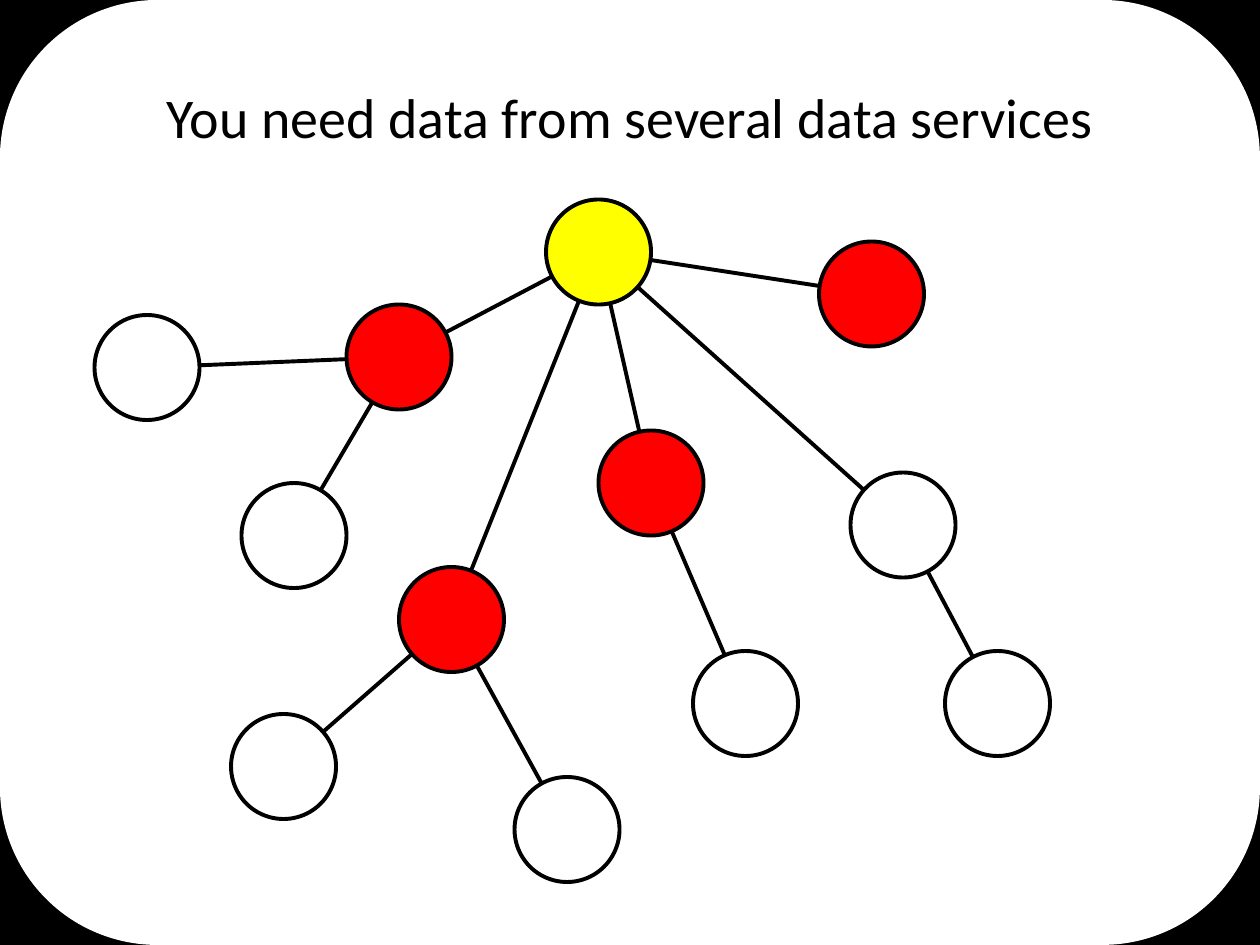
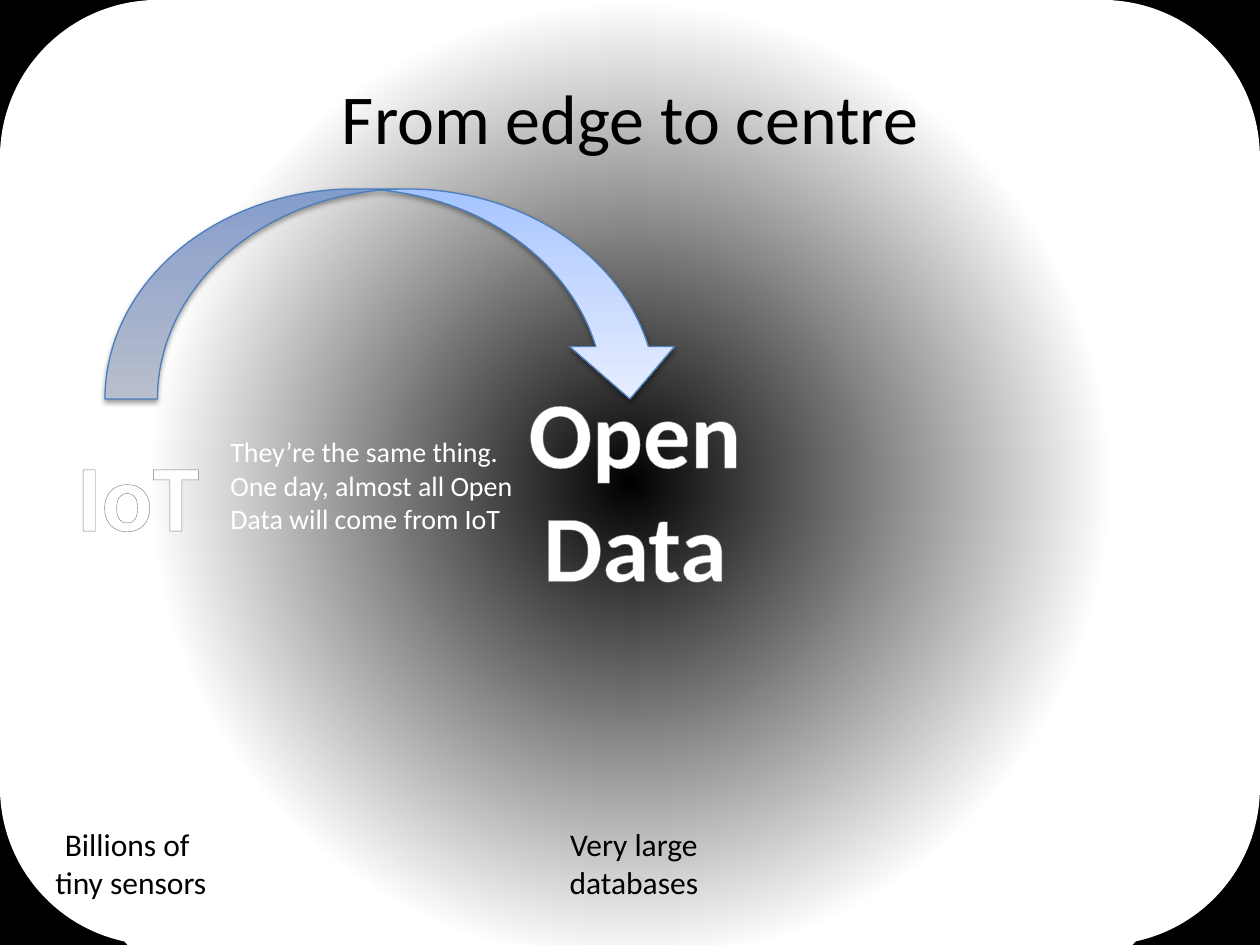
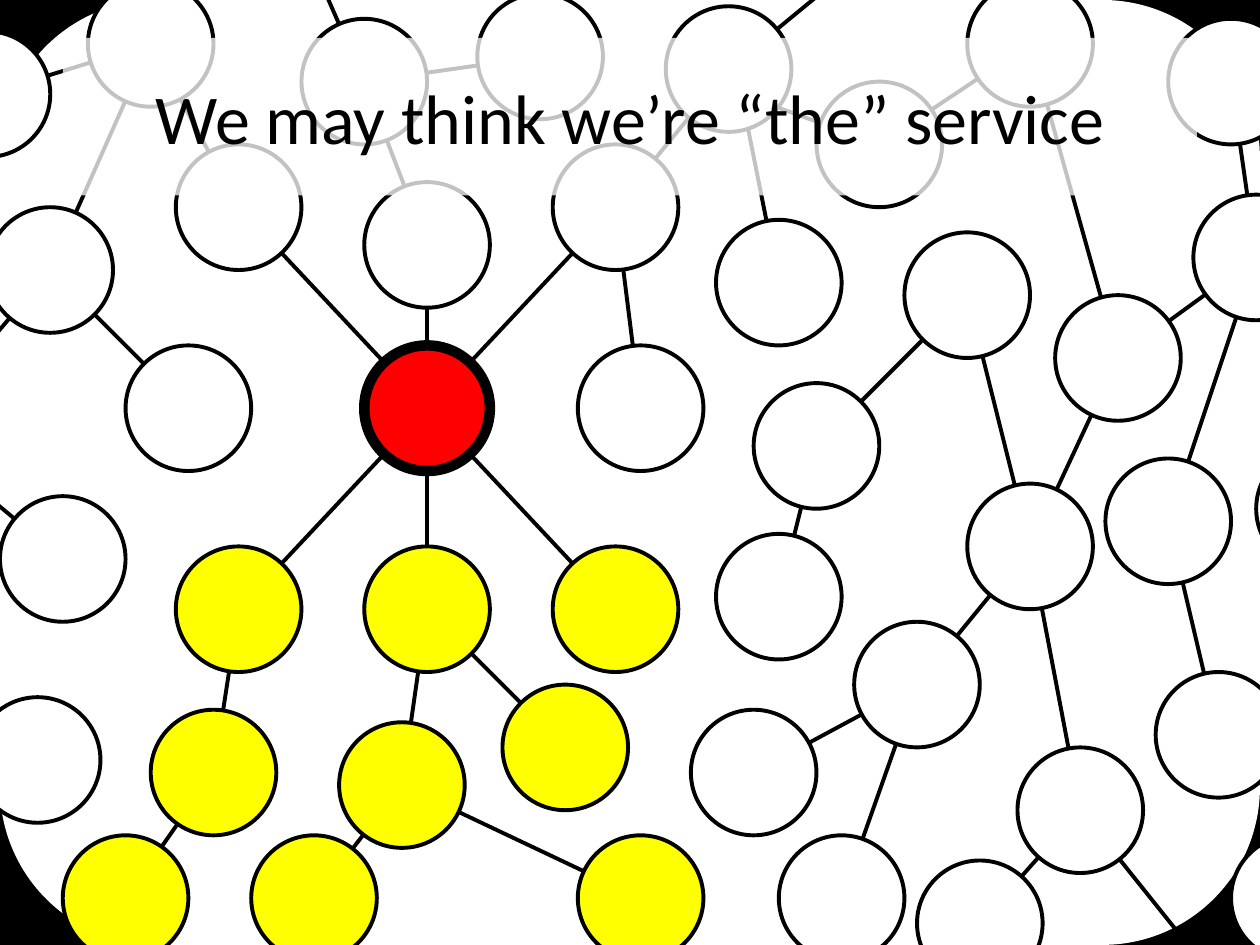
"""Build three slides on networks of data services."""
import lxml.etree
import pptx
import pptx.dml.color
import pptx.enum.shapes
import pptx.enum.text
import pptx.oxml.ns
import pptx.util

RGBColor = pptx.dml.color.RGBColor
BLACK = RGBColor(0x00, 0x00, 0x00)
WHITE = RGBColor(0xFF, 0xFF, 0xFF)
RED = RGBColor(0xFF, 0x00, 0x00)
YELLOW = RGBColor(0xFF, 0xFF, 0x00)
GRAY = RGBColor(0x7F, 0x7F, 0x7F)
OUTLINE_GRAY = RGBColor(0x7D, 0x7D, 0x7D)
ARROW_EDGE = RGBColor(0x4B, 0x7E, 0xBC)
ARROW_DARK = RGBColor(0xA4, 0xC4, 0xFF)
ARROW_MIDDLE = RGBColor(0xBF, 0xD4, 0xFF)
ARROW_PALE = RGBColor(0xE6, 0xEE, 0xFF)

SHAPE = pptx.enum.shapes.MSO_SHAPE
FIT = pptx.enum.text.MSO_AUTO_SIZE.SHAPE_TO_FIT_TEXT
MIDDLE = pptx.enum.text.MSO_ANCHOR.MIDDLE
CENTER = pptx.enum.text.PP_ALIGN.CENTER

COLUMNS, ROWS = 120, 90
NETWORK_COLUMNS = 100.3
NODE_DIAMETER = 10
TITLE_BOX = (6, 3.6, 108, 15)
GLOW_STOPS = [(0, BLACK), (50, WHITE)]
ARROW_STOPS = [(0, ARROW_DARK), (35, ARROW_MIDDLE), (100, ARROW_PALE)]
SHINE_STOPS = [(0, WHITE), (9, WHITE), (50, GRAY), (79, WHITE), (100, WHITE)]

SERVICE_LINKS = {
    (57, 24): [(38, 34), (43, 59), (83, 28), (62, 46), (86, 50)],
    (38, 34): [(14, 35), (28, 51)],
    (43, 59): [(27, 73), (54, 79)],
    (62, 46): [(71, 67)],
    (86, 50): [(95, 67)],
}
SERVICE_NODES = {
    YELLOW: [(57, 24)],
    RED: [(83, 28), (62, 46), (43, 59), (38, 34)],
    WHITE: [(86, 50), (71, 67), (28, 51), (14, 35), (27, 73), (95, 67), (54, 79)],
}

HUB = (34, 32)
WEB_LINKS = {
    HUB: [(49, 16), (34, 19), (19, 16), (49, 48), (34, 48), (19, 48)],
    (49, 16): [(58, 5), (51, 32)],
    (34, 48): [(32, 62), (45, 59)],
    (32, 62): [(25, 71), (51, 71)],
    (17, 61): [(10, 71), (19, 48)],
    (59, 7): [(62, 22), (70, 11)],
    (29, 6): [(34, 19), (43, 4), (25.5, -2)],
    (12, 3): [(4, 21), (19, 16), (-1, 7)],
    (4, 21): [(15, 32), (-7, 34)],
    (5, 44): [(-7, 34)],
    (65, 35): [(77, 23), (62, 47)],
    (82, 43): [(77, 23), (86, 64), (73, 54), (89, 28)],
    (86, 64): [(78, 73), (94, 74)],
    (73, 54): [(67, 71), (60, 61)],
    (89, 28): [(82, 3), (100, 20)],
    (100, 20): [(93, 41), (98, 6)],
    (82, 3): [(70, 11)],
    (93, 41): [(97, 58)],
    (58, 5): [(66.5, -2)],
}
WEB_NODES = {
    YELLOW: [(49, 48), (34, 48), (19, 48), (17, 61), (32, 62), (25, 71),
             (10, 71), (45, 59), (51, 71)],
    WHITE: [(49, 16), (34, 19), (19, 16), (51, 32), (62, 22), (65, 35),
            (62, 47), (15, 32), (5, 44), (4, 21), (105, 40), (3, 60),
            (103, 71), (60, 61), (77, 23), (89, 28), (73, 54), (67, 71),
            (86, 64), (78, 73), (93, 41), (97, 58), (100, 20), (-1, 7),
            (82, 43), (70, 11), (12, 3), (29, 6), (58, 5), (43, 4),
            (82, 3), (98, 6)],
}


def add_element(parent, tag, **attributes):
    """Append a drawing element with the given attributes."""
    texts = {name: str(value) for name, value in attributes.items()}
    return lxml.etree.SubElement(parent, pptx.oxml.ns.qn(tag), texts)


def add_color(parent, color, alpha=100):
    """Append a colour, with its opacity in percent."""
    element = add_element(parent, "a:srgbClr", val=color)
    if alpha < 100:
        add_element(element, "a:alpha", val=alpha * 1000)


def apply_format(target, values):
    """Set each attribute named in the format values."""
    for name, value in values.items():
        setattr(target, name, value)


def paint_gradient(fill, properties, stops, angle=None):
    """Fill with a linear gradient, or a circular one when no angle is given."""
    fill.gradient()
    gradient = properties.find(pptx.oxml.ns.qn("a:gradFill"))
    for child in list(gradient):
        gradient.remove(child)
    stop_list = add_element(gradient, "a:gsLst")
    for position, color in stops:
        add_color(add_element(stop_list, "a:gs", pos=position * 1000), color)
    if angle is None:
        circle = add_element(gradient, "a:path", path="circle")
        add_element(circle, "a:fillToRect", l=50000, t=50000, r=50000, b=50000)
    else:
        add_element(gradient, "a:lin", ang=angle * 60000, scaled=0)


class Deck:
    """Hold the shared style and the current slide."""

    font_name = "Calibri"
    line_width = 2.25

    def __init__(self):
        """Start an empty presentation."""
        self.presentation = pptx.Presentation()
        apply_format(self.presentation, {"slide_width": pptx.util.Inches(10),
                                         "slide_height": pptx.util.Inches(7.5)})
        self.slide = None
        self.columns = COLUMNS

    def place(self, *cells):
        """Turn grid cells into lengths."""
        return [int(cell * self.presentation.slide_width / self.columns) for cell in cells]

    def start_slide(self):
        """Add a black slide with the rounded white panel."""
        self.slide = self.presentation.slides.add_slide(self.presentation.slide_layouts[6])
        self.columns = COLUMNS
        background = self.slide.background.fill
        background.solid()
        background.fore_color.rgb = BLACK
        self.shape(SHAPE.ROUNDED_RECTANGLE, (0, 0, COLUMNS, ROWS), WHITE)

    def shape(self, kind, box, fill=None, line=None, width=line_width):
        """Add a preset shape without shadow."""
        shape = self.slide.shapes.add_shape(kind, *self.place(*box))
        shape.shadow.inherit = False
        if fill is not None:
            shape.fill.solid()
            shape.fill.fore_color.rgb = fill
        if line is None:
            shape.line.fill.background()
        else:
            shape.line.color.rgb = line
            shape.line.width = pptx.util.Pt(width)
        return shape

    def text(self, box, text, size, color=BLACK, bold=None, paragraph_format=None, **frame_format):
        """Add a text box."""
        shape = self.slide.shapes.add_textbox(*self.place(*box))
        apply_format(shape.text_frame, {"word_wrap": True, **frame_format})
        paragraph = shape.text_frame.paragraphs[0]
        paragraph.text = text
        apply_format(paragraph, paragraph_format or {})
        for run in paragraph.runs:
            apply_format(run.font, {"name": self.font_name, "bold": bold,
                                    "size": pptx.util.Pt(size)})
            run.font.color.rgb = color
        return shape

    def title(self, text, size=40):
        """Add the slide title."""
        return self.text(TITLE_BOX, text, size, paragraph_format={"alignment": CENTER},
                         vertical_anchor=MIDDLE)

    def veiled_title(self, text, alpha):
        """Add a title on a translucent white band."""
        shape = self.title(text)
        shape.fill.solid()
        shape.fill.fore_color.rgb = WHITE
        color = shape.fill._xPr.find(".//" + pptx.oxml.ns.qn("a:srgbClr"))
        add_element(color, "a:alpha", val=alpha * 1000)

    def label(self, box, text, size=18, **font_format):
        """Add a centred label that does not wrap."""
        return self.text(box, text, size, paragraph_format={"alignment": CENTER},
                         word_wrap=False, auto_size=FIT, **font_format)

    def shiny_label(self, box, text):
        """Add a large bold label with a gradient and an outline."""
        shape = self.label(box, text, 54, bold=True)
        for run in shape.text_frame.paragraphs[0].runs:
            properties = run._r.get_or_add_rPr()
            paint_gradient(run.font.fill, properties, SHINE_STOPS, 90)
            outline = add_element(properties, "a:ln", w=pptx.util.Pt(0.83))
            add_color(add_element(outline, "a:solidFill"), OUTLINE_GRAY)
            properties.insert(0, outline)

    def glow(self, box):
        """Add a circle that fades from black to white."""
        shape = self.shape(SHAPE.OVAL, box)
        paint_gradient(shape.fill, shape._element.spPr, GLOW_STOPS)

    def curved_arrow(self, box):
        """Add a shaded arrow that arches over to the right."""
        shape = self.shape(SHAPE.CURVED_UP_ARROW, box, line=ARROW_EDGE, width=0.75)
        properties = shape._element.spPr
        properties.xfrm.set("flipV", "1")
        paint_gradient(shape.fill, properties, ARROW_STOPS, 270)
        effects = properties.find(pptx.oxml.ns.qn("a:effectLst"))
        shadow = add_element(effects, "a:outerShdw", blurRad=pptx.util.Pt(3.1),
                             dist=pptx.util.Pt(1.6), dir=90 * 60000, rotWithShape=0)
        add_color(shadow, BLACK, 38)

    def link(self, start, end):
        """Add a straight line between two grid points."""
        connector = self.slide.shapes.add_connector(
            pptx.enum.shapes.MSO_CONNECTOR.STRAIGHT, *self.place(*start, *end))
        connector.line.color.rgb = BLACK
        connector.line.width = pptx.util.Pt(self.line_width)
        add_element(connector._element.spPr, "a:effectLst")

    def node(self, center, fill, width=line_width):
        """Add a circle around a grid point."""
        left, top = (value - NODE_DIAMETER / 2 for value in center)
        self.shape(SHAPE.OVAL, (left, top, NODE_DIAMETER, NODE_DIAMETER), fill, BLACK, width)

    def network(self, links, nodes, columns=COLUMNS, row_shift=0, hub=None):
        """Draw the links, then the nodes, then the emphasised hub."""
        self.columns = columns

        def shifted(point):
            return point[0], point[1] + row_shift

        for start, ends in links.items():
            for end in ends:
                self.link(shifted(start), shifted(end))
        for fill, centers in nodes.items():
            for center in centers:
                self.node(shifted(center), fill)
        if hub:
            self.node(shifted(hub), RED, 6)
        self.columns = COLUMNS


def main():
    """Build the slides and save them."""
    deck = Deck()

    deck.start_slide()
    deck.title("You need data from several data services", 32)
    deck.network(SERVICE_LINKS, SERVICE_NODES)

    deck.start_slide()
    deck.glow((-5, -19, 130, 130))
    deck.title("From edge to centre")
    deck.shiny_label((6, 41, 14.28, 12.12), "IoT")
    deck.label((4, 78, 16.92, 8.52), "Billions of \ntiny sensors")
    deck.shiny_label((49, 35, 22.92, 23.04), "Open\nData")
    deck.label((53, 78, 14.76, 8.52), "Very large\ndatabases")
    deck.curved_arrow((10, 18, 55, 20))
    deck.text((20.76, 40.8, 32.04, 10.92),
              "They’re the same thing. One day, almost all Open Data will come from IoT",
              16, WHITE, auto_size=FIT)

    deck.start_slide()
    deck.network(WEB_LINKS, WEB_NODES, NETWORK_COLUMNS, 0.5, HUB)
    deck.veiled_title("We may think we’re “the” service", 76)

    deck.presentation.save("out.pptx")


if __name__ == "__main__":
    main()
